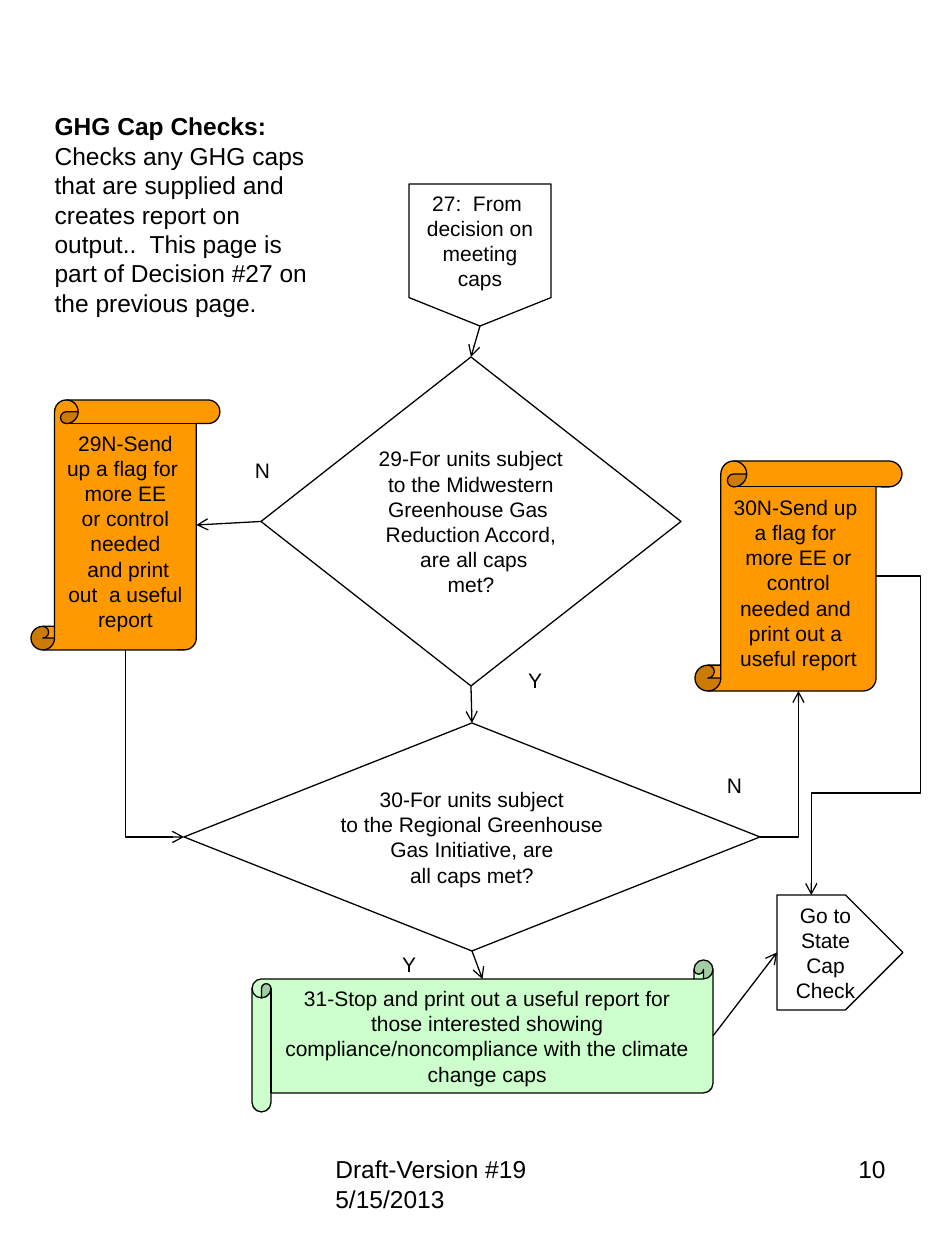
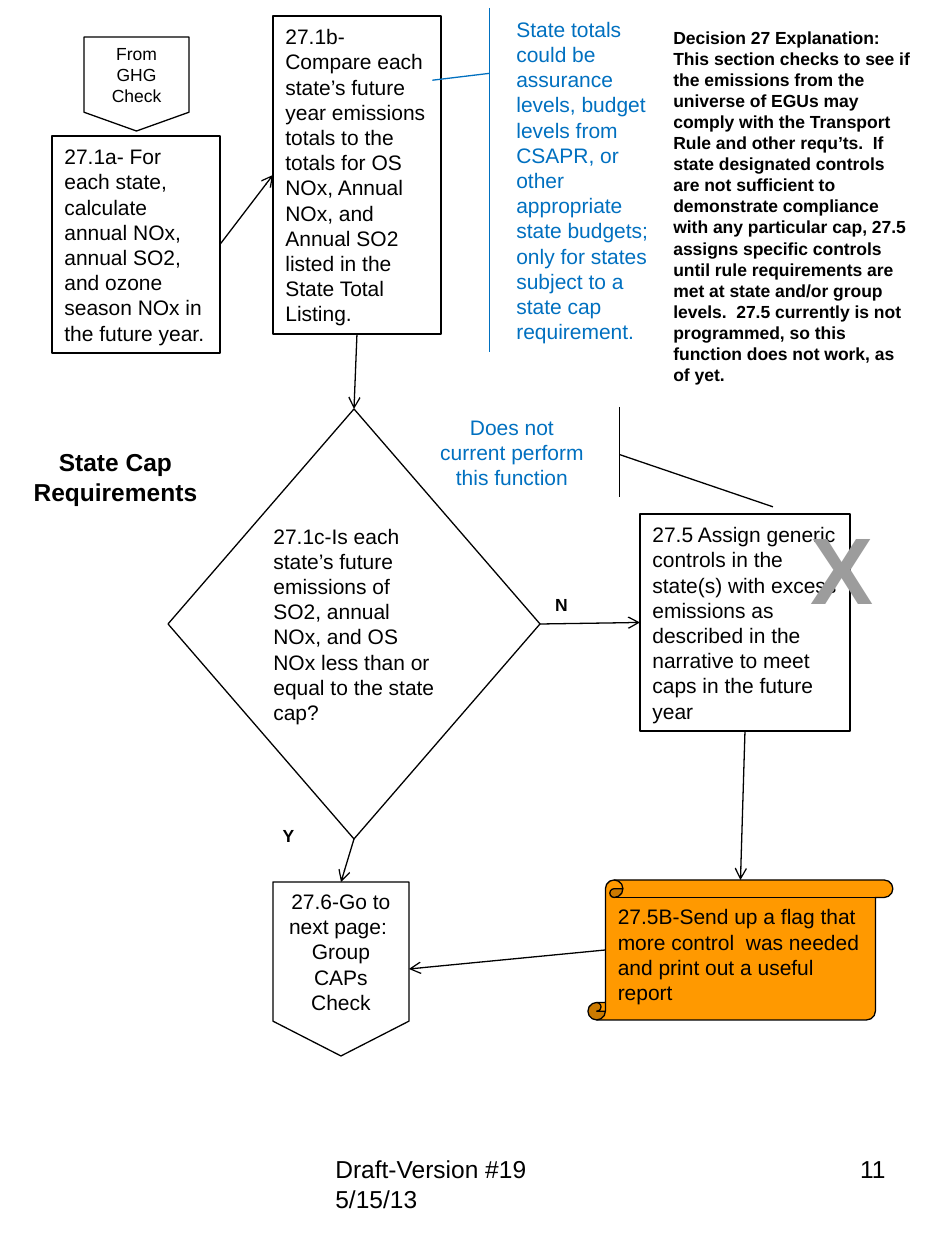
"""Two flowchart pages: greenhouse gas cap checks and state cap requirements."""
from lxml import etree
from pptx import Presentation
from pptx import util as u
from pptx.dml.color import RGBColor
from pptx.enum import shapes, text
from pptx.oxml.ns import qn

SCALE = 914400 / 126  # EMU per pixel
FONT = "Arial"
BLACK = RGBColor(0x00, 0x00, 0x00)
ORANGE = RGBColor(0xFF, 0x99, 0x00)
GREEN = RGBColor(0xCC, 0xFF, 0xCC)
BLUE = RGBColor(0x00, 0x70, 0xC0)
GREY = RGBColor(0x9C, 0x9C, 0x9C)

KIND = shapes.MSO_SHAPE
DECISION = KIND.FLOWCHART_DECISION
PROCESS = KIND.FLOWCHART_PROCESS
OFFPAGE = KIND.FLOWCHART_OFFPAGE_CONNECTOR
CALLOUT = KIND.LINE_CALLOUT_1_ACCENT_BAR
LEFT, CENTER, RIGHT = text.PP_ALIGN.LEFT, text.PP_ALIGN.CENTER, text.PP_ALIGN.RIGHT
TOP_SITE, LEFT_SITE, BOTTOM_SITE, RIGHT_SITE = range(4)


def emu(pixels):
    """Turn pixels into EMU."""
    return u.Emu(round(pixels * SCALE))


def site_point(shape, site):
    """Return the point of a connection site, in EMU."""
    kind = shape.auto_shape_type
    short_side = min(shape.width, shape.height)
    inset = short_side * 0.125
    inset_x = inset if kind == KIND.VERTICAL_SCROLL else 0
    inset_y = inset if kind == KIND.HORIZONTAL_SCROLL else 0
    middle_x = shape.left + shape.width / 2
    middle_y = shape.top + shape.height / 2
    if kind == KIND.PENTAGON:
        middle_x -= short_side / 4
    return {
        TOP_SITE: (middle_x, shape.top + inset_y),
        LEFT_SITE: (shape.left + inset_x, middle_y),
        BOTTOM_SITE: (middle_x, shape.top + shape.height - inset_y),
        RIGHT_SITE: (shape.left + shape.width - inset_x, middle_y),
    }[site]


class Flowchart:
    """Holds the shared style and the slide being drawn."""

    def __init__(self):
        """Start an upright presentation."""
        self.presentation = Presentation()
        self.presentation.slide_width = u.Inches(7.5)
        self.presentation.slide_height = u.Inches(10)
        self.slide = None

    def new_slide(self, footer, number):
        """Add a slide with its footer and page number."""
        layout = self.presentation.slide_layouts[5]
        self.slide = self.presentation.slides.add_slide(layout)
        self.label((323, 1148, 300, 87), footer, size=14, align=LEFT)
        self.label((678, 1148, 220, 87), number, size=14, align=RIGHT)

    def set_text(self, shape, words, size, align, color=BLACK, bold=False,
                 anchor=text.MSO_ANCHOR.MIDDLE, wrap=True):
        """Put formatted text into a shape, one paragraph a line."""
        frame = shape.text_frame
        frame.text = words
        frame.word_wrap = wrap
        frame.auto_size = text.MSO_AUTO_SIZE.NONE
        frame.vertical_anchor = anchor
        for paragraph in frame.paragraphs:
            paragraph.alignment = align
            for run in paragraph.runs:
                self.style(run, size, color, bold)

    def style(self, run, size, color, bold):
        """Format one run."""
        run.font.name = FONT
        run.font.size = u.Pt(size)
        run.font.bold = bold
        run.font.color.rgb = color

    def title(self, box, heading, align, rest=""):
        """Fill the title placeholder, with plain text after the bold heading."""
        title = self.slide.shapes.title
        title.left, title.top, title.width, title.height = map(emu, box)
        self.set_text(title, heading, 14, align, bold=True,
                      anchor=text.MSO_ANCHOR.TOP)
        if rest:
            run = title.text_frame.paragraphs[0].add_run()
            run.text = rest
            self.style(run, 14, BLACK, False)

    def label(self, box, words, size=12, align=CENTER, **style):
        """Add a text box."""
        shape = self.slide.shapes.add_textbox(*map(emu, box))
        self.set_text(shape, words, size, align,
                      anchor=text.MSO_ANCHOR.TOP, **style)

    def node(self, kind, box, words, fill=None, line=BLACK, size=12,
             align=CENTER, adjustments=(), **style):
        """Add an outlined flowchart shape with text."""
        shape = self.slide.shapes.add_shape(kind, *map(emu, box))
        shape.shadow.inherit = False
        for index, value in enumerate(adjustments):
            shape.adjustments[index] = value
        if fill is None:
            shape.fill.background()
        else:
            shape.fill.solid()
            shape.fill.fore_color.rgb = fill
        shape.line.color.rgb = line
        shape.line.width = u.Pt(0.75)
        self.set_text(shape, words, size, align, **style)
        return shape

    def arrow(self, start, start_site, end, end_site):
        """Join two shapes with a straight arrow."""
        x1, y1 = site_point(start, start_site)
        x2, y2 = site_point(end, end_site)
        self.connect(start, start_site, end, end_site, "straightConnector1",
                     flip_h=x2 < x1, flip_v=y2 < y1)

    def connect(self, start, start_site, end, end_site, preset,
                rotation=0, flip_h=False, flip_v=False, guides=()):
        """Join two shapes with an arrow of the given connector preset."""
        x1, y1 = site_point(start, start_site)
        x2, y2 = site_point(end, end_site)
        left, top = min(x1, x2), min(y1, y2)
        width, height = abs(x2 - x1), abs(y2 - y1)
        if rotation in (90, 270):
            left, top = left + (width - height) / 2, top + (height - width) / 2
            width, height = height, width
        connector = self.slide.shapes.add_connector(
            shapes.MSO_CONNECTOR.STRAIGHT, 0, 0, 0, 0)
        connector.begin_connect(start, start_site)
        connector.end_connect(end, end_site)
        connector.left, connector.top = round(left), round(top)
        connector.width, connector.height = round(width), round(height)
        connector.line.color.rgb = BLACK
        connector.line.width = u.Pt(0.75)

        properties = connector._element.spPr
        transform = properties.find(qn("a:xfrm"))
        transform.set("rot", str(rotation * 60000))
        transform.set("flipH", str(int(flip_h)))
        transform.set("flipV", str(int(flip_v)))
        geometry = properties.find(qn("a:prstGeom"))
        geometry.set("prst", preset)
        for index, value in enumerate(guides, 1):
            etree.SubElement(geometry.find(qn("a:avLst")), qn("a:gd"),
                             name=f"adj{index}", fmla=f"val {round(value * 100000)}")
        etree.SubElement(properties.find(qn("a:ln")), qn("a:tailEnd"), type="arrow")
        etree.SubElement(properties, qn("a:effectLst"))


def draw_ghg_checks(chart):
    """Draw the greenhouse gas cap checks."""
    chart.new_slide("Draft-Version #19 5/15/2013", "10")
    chart.title((42, 105, 294, 220), "GHG Cap Checks:", LEFT,
                "  Checks any GHG caps that are supplied and creates report on "
                "output..  This page is part of Decision #27 on the previous page.")
    midwest = chart.node(
        DECISION, (261, 357, 420, 329),
        "29-For units subject\nto the Midwestern\nGreenhouse Gas \n"
        "Reduction Accord,\n are all caps\nmet?", wrap=False)
    regional = chart.node(
        DECISION, (184, 723, 576, 228),
        "30-For units subject\nto the Regional Greenhouse\n"
        "Gas Initiative, are\nall caps met?", wrap=False)
    regional_flag = chart.node(
        KIND.VERTICAL_SCROLL, (695, 461, 207, 230),
        "30N-Send up \na flag for \nmore EE or\ncontrol\nneeded and \n"
        "print out a \nuseful report", ORANGE, wrap=False)
    midwest_flag = chart.node(
        KIND.VERTICAL_SCROLL, (31, 400, 189, 250),
        "29N-Send up a flag for \nmore EE\n or control \nneeded\n"
        " and print out  a useful \nreport", ORANGE)
    report = chart.node(
        KIND.HORIZONTAL_SCROLL, (252, 960, 461, 152),
        "31-Stop and print out a useful report for those interested showing "
        "compliance/noncompliance with the climate change caps", GREEN)
    entry = chart.node(OFFPAGE, (409, 184, 142, 142),
                       "27:  From  decision on meeting caps")
    state_check = chart.node(KIND.PENTAGON, (777, 895, 126, 115),
                             "Go to State Cap Check")
    for left, top, width, answer in ((231, 451, 63, "N"), (703, 766, 63, "N"),
                                     (514, 661, 42, "Y"), (388, 945, 42, "Y")):
        chart.label((left, top, width, 38), answer)

    chart.arrow(entry, BOTTOM_SITE, midwest, TOP_SITE)
    chart.arrow(midwest, LEFT_SITE, midwest_flag, RIGHT_SITE)
    chart.arrow(midwest, BOTTOM_SITE, regional, TOP_SITE)
    chart.arrow(regional, BOTTOM_SITE, report, TOP_SITE)
    chart.arrow(report, RIGHT_SITE, state_check, LEFT_SITE)
    chart.connect(midwest_flag, BOTTOM_SITE, regional, LEFT_SITE,
                  "bentConnector2", rotation=270, flip_h=True)
    chart.connect(regional, RIGHT_SITE, regional_flag, BOTTOM_SITE,
                  "bentConnector2", flip_v=True)
    chart.connect(regional_flag, RIGHT_SITE, state_check, TOP_SITE,
                  "bentConnector4", rotation=180, flip_v=True, guides=(-0.68, 0.68))


def draw_state_caps(chart):
    """Draw the state cap requirements."""
    chart.new_slide("Draft-Version #19 5/15/13", "11")
    chart.title((0, 441, 231, 72), "State Cap Requirements", CENTER)
    chart.label(
        (661, 21, 262, 373),
        "Decision 27 Explanation: This section checks to see if the emissions "
        "from the universe of EGUs may comply with the Transport Rule and other "
        "requ’ts.  If state designated controls are not sufficient to "
        "demonstrate compliance with any particular cap, 27.5 assigns specific "
        "controls until rule requirements are met at state and/or group levels.  "
        "27.5 currently is not programmed, so this function does not work, as of "
        "yet.", size=10, align=LEFT, bold=True)
    totals = chart.node(
        PROCESS, (52, 136, 168, 217),
        "27.1a- For each state, calculate annual NOx, annual SO2, and ozone "
        "season NOx in the future year.", align=LEFT)
    comparison = chart.node(
        PROCESS, (273, 16, 168, 318),
        "27.1b-Compare each state’s future year emissions totals to the totals "
        "for OS NOx, Annual NOx, and Annual SO2 listed in the State Total "
        "Listing.", align=LEFT)
    chart.node(
        CALLOUT, (504, 8, 179, 344),
        "State totals could be assurance levels, budget levels from  CSAPR, or "
        "other appropriate state budgets; only for states subject to a state cap "
        "requirement.", line=BLUE, color=BLUE, align=LEFT,
        adjustments=(0.19, -0.08, 0.21, -0.4))
    flag = chart.node(
        KIND.VERTICAL_SCROLL, (588, 880, 305, 140),
        "27.5B-Send up a flag that more control  was needed and print out a "
        "useful report ", ORANGE, align=LEFT)
    assignment = chart.node(
        KIND.RECTANGLE, (640, 514, 210, 217),
        "27.5 Assign generic controls in the state(s) with excess emissions as "
        "described in the narrative to meet caps in the future year", align=LEFT)
    below_cap = chart.node(
        DECISION, (168, 409, 372, 430),
        "27.1c-Is each state’s future emissions of  SO2, annual NOx, and OS NOx "
        "less than or equal to the state cap?", align=LEFT)
    group_caps = chart.node(OFFPAGE, (273, 882, 136, 174),
                            "27.6-Go to next page:  Group CAPs Check")
    chart.node(CALLOUT, (425, 407, 174, 90),
               "Does not current perform this function", color=BLUE,
               adjustments=(0.53, 1.12, 1.11, 2))
    chart.node(OFFPAGE, (84, 37, 105, 94), "From GHG Check", size=10)
    chart.label((535, 588, 53, 34), "N", size=10, bold=True)
    chart.label((262, 819, 53, 34), "Y", size=10, bold=True)
    chart.label((798, 504, 89, 127), "X", size=54, color=GREY, bold=True, wrap=False)

    chart.arrow(totals, RIGHT_SITE, comparison, LEFT_SITE)
    chart.arrow(comparison, BOTTOM_SITE, below_cap, TOP_SITE)
    chart.arrow(below_cap, RIGHT_SITE, assignment, LEFT_SITE)
    chart.arrow(assignment, BOTTOM_SITE, flag, TOP_SITE)
    chart.arrow(below_cap, BOTTOM_SITE, group_caps, TOP_SITE)
    chart.arrow(flag, LEFT_SITE, group_caps, RIGHT_SITE)


flowchart = Flowchart()
draw_ghg_checks(flowchart)
draw_state_caps(flowchart)
flowchart.presentation.save("out.pptx")
